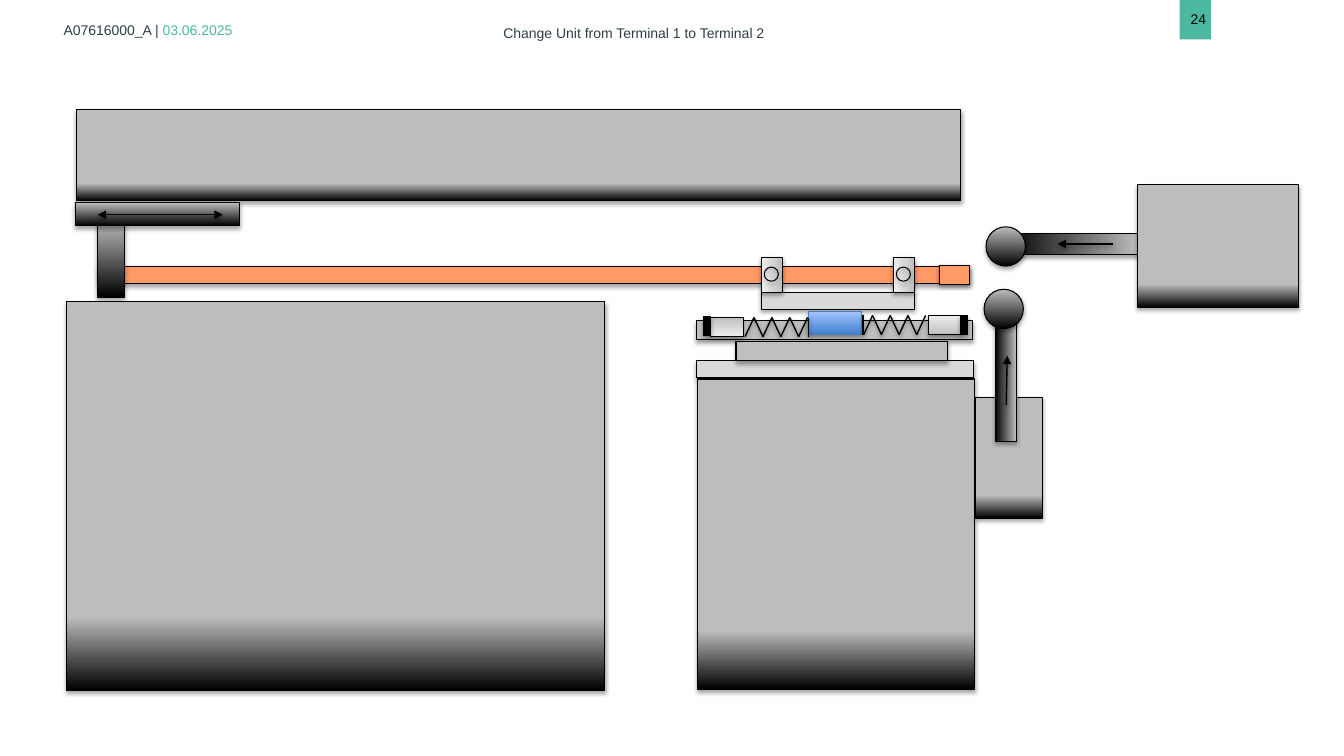
from lxml import etree
from pptx import Presentation
from pptx.dml.color import RGBColor
from pptx.enum.shapes import MSO_CONNECTOR, MSO_SHAPE
from pptx.enum.text import MSO_ANCHOR, PP_ALIGN
from pptx.oxml.ns import qn
from pptx.util import Inches, Pt

RECT, OVAL = MSO_SHAPE.RECTANGLE, MSO_SHAPE.OVAL
STRAIGHT = MSO_CONNECTOR.STRAIGHT
MIDDLE, TOP = MSO_ANCHOR.MIDDLE, MSO_ANCHOR.TOP
CENTER, LEFT = PP_ALIGN.CENTER, PP_ALIGN.LEFT
UP, TO_RIGHT, TO_LEFT, DOWN = 90, 0, 180, 270

COLORS = {
    "ink": "2C3F48", "teal": "4DB8A0", "black": "000000", "orange": "FF9966",
    "plate": "D9D9D9", "rail": "BFBFBF", "metal": "BDBDBD",
    "mid": "D1D1D1", "light": "EEEEEE", "blue": "3F80CE", "sky": "A4C4FF",
    "blue_edge": "4B7EBC",
}
GRADIENTS = {
    "block": [(0, "black"), (19, "metal")],
    "rod": [(0, "black"), (100, "metal")],
    "steel": [(0, "metal"), (35, "mid"), (100, "light")],
    "slider": [(0, "blue"), (100, "sky")],
}

TITLE = "Change Unit from Terminal 1 to Terminal 2"
HEADER = [("A07616000_A\u2002|\u2002".replace("\u2002", " "), "ink"), ("03.06.2025", "teal")]
PAGE = "24"

# shape, (left, top, width, height), fill, gradient direction
PARTS = [
    (RECT, (6.91, 3.58, 2.75, 0.17), "plate", None),
    (RECT, (6.91, 3.18, 2.74, 0.19), "rail", None),
    (RECT, (7.3, 3.39, 2.1, 0.19), "rail", None),
    (RECT, (6.92, 3.76, 2.75, 3.08), "block", UP),
    (RECT, (7.05, 3.15, 0.32, 0.19), "steel", DOWN),
    (RECT, (6.98, 3.14, 0.07, 0.19), "black", None),
    (RECT, (9.21, 3.13, 0.32, 0.19), "steel", UP),
    (RECT, (9.53, 3.13, 0.07, 0.19), "black", None),
    (RECT, (0.76, 1.09, 8.77, 0.9), "block", UP),
    (RECT, (0.98, 2.64, 8.64, 0.17), "orange", None),
    (RECT, (9.32, 2.63, 0.3, 0.19), "orange", None),
    (RECT, (7.55, 2.9, 1.52, 0.17), "plate", None),
    (RECT, (7.55, 2.55, 0.21, 0.35), "steel", TO_LEFT),
    (OVAL, (7.58, 2.65, 0.14, 0.14), None, None),
    (RECT, (8.86, 2.55, 0.21, 0.35), "steel", TO_LEFT),
    (OVAL, (8.89, 2.65, 0.14, 0.14), None, None),
    (RECT, (8.02, 3.09, 0.52, 0.23), "slider", UP),
    (RECT, (9.68, 3.94, 0.66, 1.2), "block", UP),
    (RECT, (9.87, 3.07, 0.21, 1.31), "rod", TO_RIGHT),
    (OVAL, (9.76, 2.87, 0.39, 0.39), "rod", UP),
    (RECT, (9.98, 2.32, 1.31, 0.21), "rod", TO_RIGHT),
    (OVAL, (9.78, 2.25, 0.39, 0.39), "rod", UP),
    (RECT, (11.28, 1.83, 1.6, 1.22), "block", UP),
    (RECT, (0.97, 2.19, 0.27, 0.76), "rod", UP),
    (RECT, (0.75, 2.01, 1.63, 0.23), "rod", UP),
    (RECT, (0.66, 2.99, 5.34, 3.86), "block", UP),
]
# start, end, arrowheads
ARROWS = [
    ((9.98, 4.02), (9.99, 3.53), ["tailEnd"]),
    ((11.04, 2.42), (10.49, 2.42), ["tailEnd"]),
    ((2.21, 2.13), (0.97, 2.13), ["headEnd", "tailEnd"]),
]
# outer x, step per segment, first y, second y, x of the end wire
SPRINGS = [
    (7.39, 0.0886, 3.34, 3.15, 8.02),
    (9.18, -0.0876, 3.13, 3.32, 8.56),
]
SEGMENTS = 7


def rgb(name):
    return RGBColor.from_string(COLORS[name])


def add_color(parent, name):
    return etree.SubElement(parent, qn("a:srgbClr"), val=COLORS[name])


def add_shadow(sp, alpha, distance):
    """Give a shape or connector a soft shadow straight below it."""
    effects = sp._element.spPr.find(qn("a:effectLst"))
    if effects is None:
        effects = etree.SubElement(sp._element.spPr, qn("a:effectLst"))
    shadow = etree.SubElement(
        effects, qn("a:outerShdw"), blurRad=str(Pt(3.1)), dist=str(Pt(distance)),
        dir="5400000", rotWithShape="0")
    color = add_color(shadow, "black")
    etree.SubElement(color, qn("a:alpha"), val=str(alpha * 1000))


def set_gradient(sp, stops, angle):
    sp.fill.gradient()
    sp.fill.gradient_angle = angle
    stop_list = sp._element.spPr.find(".//" + qn("a:gsLst"))
    for stop in list(stop_list):
        stop_list.remove(stop)
    for position, name in stops:
        stop = etree.SubElement(stop_list, qn("a:gs"), pos=str(position * 1000))
        add_color(stop, name)


def add_part(slide, kind, box, fill, angle):
    sp = slide.shapes.add_shape(kind, *map(Inches, box))
    sp.shadow.inherit = False
    if fill is None:
        sp.fill.background()
    elif fill in GRADIENTS:
        set_gradient(sp, GRADIENTS[fill], angle)
    else:
        sp.fill.solid()
        sp.fill.fore_color.rgb = rgb(fill)
    sp.line.color.rgb = rgb("blue_edge" if fill == "slider" else "black")
    sp.line.width = Pt(0.75)
    add_shadow(sp, 35, 1.8)


def add_line(slide, start, end, heads=()):
    line = slide.shapes.add_connector(STRAIGHT, *map(Inches, start + end))
    line.line.color.rgb = rgb("black")
    line.line.width = Pt(1)
    ln = line._element.spPr.find(qn("a:ln"))
    for head in heads:
        etree.SubElement(ln, qn("a:" + head), type="triangle")
    add_shadow(line, 38, 1.6)


def write(sp, box, runs, align, anchor, inset=(0.1, 0.05)):
    sp.left, sp.top, sp.width, sp.height = map(Inches, box)
    tf = sp.text_frame
    tf.word_wrap = True
    tf.vertical_anchor = anchor
    tf.margin_left = tf.margin_right = Inches(inset[0])
    tf.margin_top = tf.margin_bottom = Inches(inset[1])
    p = tf.paragraphs[0]
    p.alignment = align
    for text, color in runs:
        r = p.add_run()
        r.text = text
        r.font.name, r.font.size = "Arial", Pt(10)
        r.font.color.rgb = rgb(color)


def main():
    prs = Presentation()
    prs.slide_width, prs.slide_height = Inches(13.33), Inches(7.5)
    slide = prs.slides.add_slide(prs.slide_layouts[5])

    tab = slide.shapes.add_shape(RECT, *map(Inches, (11.7, 0, 0.31, 0.39)))
    tab.shadow.inherit = False
    tab.fill.solid()
    tab.fill.fore_color.rgb = rgb("teal")
    tab.line.fill.background()

    write(slide.shapes.title, (3.74, 0.18, 5.09, 0.29), [(TITLE, "ink")], CENTER, MIDDLE)
    header = slide.shapes.add_textbox(0, 0, 0, 0)
    write(header, (0.6, 0.18, 3.51, 0.23), HEADER, LEFT, MIDDLE, (0.03, 0.03))
    page = slide.shapes.add_textbox(0, 0, 0, 0)
    write(page, (11.71, 0.06, 0.8, 0.27), [(PAGE, "black")], LEFT, TOP)

    for part in PARTS:
        add_part(slide, *part)
    for x, step, y1, y2, wire_x in SPRINGS:
        points = [(x + i * step, (y1, y2)[i % 2]) for i in range(SEGMENTS + 1)]
        for start, end in zip(points, points[1:]):
            add_line(slide, start, end)
        add_line(slide, (wire_x, y1), (wire_x, y2))
    for arrow in ARROWS:
        add_line(slide, *arrow)

    prs.save("out.pptx")


if __name__ == "__main__":
    main()
